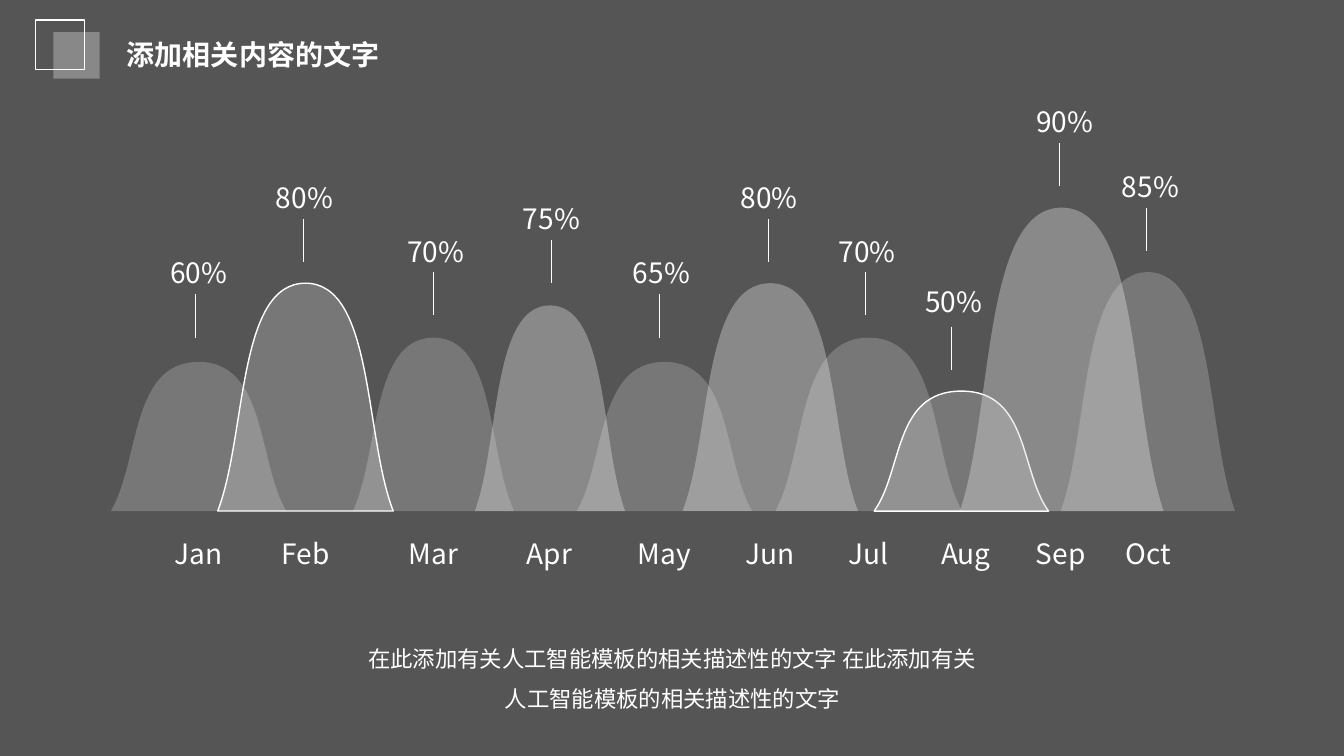
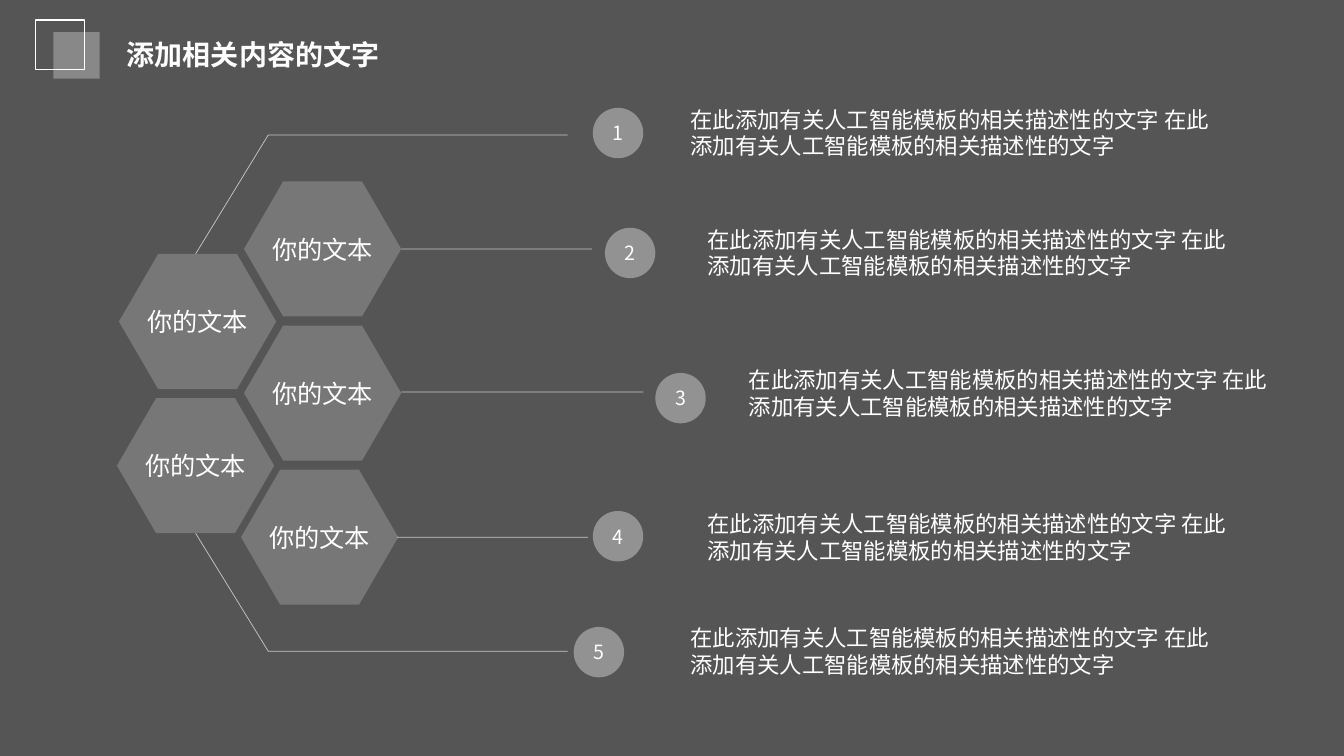
import typing

import lxml.etree
import pptx
import pptx.dml.color
import pptx.enum.shapes
import pptx.enum.text
import pptx.oxml.ns
import pptx.util

PX = 9144
FONT = "Noto Sans CJK SC"
WHITE = pptx.dml.color.RGBColor(0xFF, 0xFF, 0xFF)
SILVER = pptx.dml.color.RGBColor(0xD9, 0xD9, 0xD9)
CHARCOAL = pptx.dml.color.RGBColor(0x55, 0x55, 0x55)
SHAPE = pptx.enum.shapes.MSO_SHAPE
LEFT = pptx.enum.text.PP_ALIGN.LEFT
CENTER = pptx.enum.text.PP_ALIGN.CENTER

TITLE = "添加相关内容的文字"
HEX_LABEL = "你的文本"
DESCRIPTION = "在此添加有关人工智能模板的相关描述性的文字 在此添加有关人工智能模板的相关描述性的文字"

BASELINE = 507
LABEL_WIDTH, LABEL_HEIGHT = 104, 44
TICK_LENGTH = 43
HEX_WIDTH, HEX_HEIGHT = 156, 134
BADGE_SIZE = 50


class Month(typing.NamedTuple):
    name: str
    share: str
    left: int
    width: int
    top: int
    name_center: int
    share_center: int
    share_top: int
    tick_x: int
    tick_top: int
    style: str


MONTHS = [
    Month("Jan", "60%", 110, 174, 359, 197, 197, 249, 194, 292, "dim"),
    Month("Feb", "80%", 216, 174, 281, 303, 302, 174, 301, 217, "outlined"),
    Month("Mar", "70%", 350, 160, 335, 430, 432, 228, 430, 270, "dim"),
    Month("Apr", "75%", 471, 149, 303, 545, 547, 195, 547, 238, "bright"),
    Month("May", "65%", 572, 174, 359, 659, 656, 249, 654, 292, "dim"),
    Month("Jun", "80%", 677, 174, 281, 764, 763, 174, 762, 217, "bright"),
    Month("Jul", "70%", 769, 185, 335, 861, 860, 228, 858, 270, "dim"),
    Month("Aug", "50%", 867, 173, 388, 958, 946, 277, 944, 324, "outlined"),
    Month("Sep", "90%", 952, 202, 206, 1052, 1056, 99, 1051, 142, "bright"),
    Month("Oct", "85%", 1052, 173, 270, 1139, 1141, 163, 1137, 206, "dim"),
]

HEXAGONS = [(242, 323), (239, 466), (116, 395), (118, 252), (242, 180)]

LEADERS = [
    [(194, 252), (266, 134), (563, 134)],
    [(398, 247), (587, 247)],
    [(398, 389), (638, 389)],
    [(394, 533), (583, 533)],
    [(194, 529), (266, 646), (563, 646)],
]

ITEMS = [
    ((588, 107), (675, 100)),
    ((600, 226), (692, 219)),
    ((650, 370), (733, 358)),
    ((588, 507), (692, 501)),
    ((569, 622), (675, 614)),
]


def px(length):
    return pptx.util.Emu(round(length * PX))


def set_opacity(element, percent):
    for colour in element.xpath(".//a:solidFill/a:srgbClr"):
        lxml.etree.SubElement(
            colour, pptx.oxml.ns.qn("a:alpha"), val=str(percent * 1000))


def style_shape(shape, fill=None, opacity=100, outlined=False):
    shape.shadow.inherit = False
    if fill is None:
        shape.fill.background()
    else:
        shape.fill.solid()
        shape.fill.fore_color.rgb = fill
        set_opacity(shape.element, opacity)
    if outlined:
        shape.line.color.rgb = WHITE
        shape.line.width = pptx.util.Pt(1)
    else:
        shape.line.fill.background()


def write_text(frame, text, size, align=LEFT, bold=False):
    para = frame.paragraphs[0]
    para.alignment = align
    span = para.add_run()
    span.text = text
    span.font.name = FONT
    span.font.size = pptx.util.Pt(size)
    span.font.bold = bold
    span.font.color.rgb = WHITE
    lxml.etree.SubElement(
        span._r.get_or_add_rPr(), pptx.oxml.ns.qn("a:ea"), typeface=FONT)
    return para


def add_text(shapes, left, top, width, height, text, size, **options):
    box = shapes.add_textbox(px(left), px(top), px(width), px(height))
    box.text_frame.word_wrap = True
    box.text_frame.auto_size = pptx.enum.text.MSO_AUTO_SIZE.SHAPE_TO_FIT_TEXT
    return write_text(box.text_frame, text, size, **options)


def add_figure(shapes, preset, left, top, width, height, **look):
    shape = shapes.add_shape(preset, px(left), px(top), px(width), px(height))
    style_shape(shape, **look)
    return shape


def label_figure(shape, text, size):
    frame = shape.text_frame
    frame.word_wrap = False
    frame.vertical_anchor = pptx.enum.text.MSO_ANCHOR.MIDDLE
    write_text(frame, text, size, align=CENTER)


def add_line(shapes, start, end, opacity=100):
    line = shapes.add_connector(
        pptx.enum.shapes.MSO_CONNECTOR.STRAIGHT,
        px(start[0]), px(start[1]), px(end[0]), px(end[1]))
    line.line.color.rgb = WHITE
    line.line.width = pptx.util.Pt(0.5)
    if opacity < 100:
        set_opacity(line.element, opacity)
    lxml.etree.SubElement(
        line.element.spPr, pptx.oxml.ns.qn("a:effectLst"))


def add_bell(shapes, left, top, width, bottom, **look):
    height = bottom - top
    ratios = [(0.165, 0.67), (0.11, 0), (0.5, 0),
              (0.89, 0), (0.835, 0.67), (1, 1)]
    points = [(px(left + x * width), px(top + y * height)) for x, y in ratios]
    builder = shapes.build_freeform(px(left), px(bottom))
    builder.add_line_segments(points, close=True)
    bell = builder.convert_to_shape()
    segments = bell.element.xpath(".//a:lnTo")
    for first in (0, 3):
        curve = lxml.etree.Element(pptx.oxml.ns.qn("a:cubicBezTo"))
        segments[first].addprevious(curve)
        for segment in segments[first:first + 3]:
            curve.append(segment[0])
            segment.getparent().remove(segment)
    style_shape(bell, **look)


def add_page(deck):
    page = deck.slides.add_slide(deck.slide_layouts[6])
    emblem = page.shapes.add_group_shape().shapes
    add_figure(emblem, SHAPE.RECTANGLE, 35, 20, 49, 49, outlined=True)
    add_figure(emblem, SHAPE.RECTANGLE, 53, 32, 46, 46, fill=WHITE, opacity=30)
    add_text(page.shapes, 116, 32, 384, 44, TITLE, 20, bold=True)
    return page


def add_month(shapes, month):
    bright = month.style == "bright"
    add_bell(shapes, month.left, month.top, month.width, BASELINE,
             fill=SILVER if bright else WHITE, opacity=40 if bright else 20,
             outlined=month.style == "outlined")
    for text, center, top in [(month.name, month.name_center, 527),
                              (month.share, month.share_center, month.share_top)]:
        add_text(shapes, center - LABEL_WIDTH / 2, top, LABEL_WIDTH,
                 LABEL_HEIGHT, text, 20, align=CENTER)
    add_line(shapes, (month.tick_x, month.tick_top),
             (month.tick_x, month.tick_top + TICK_LENGTH))


def build_months_page(deck):
    page = add_page(deck)
    bells = page.shapes.add_group_shape().shapes
    for month in MONTHS:
        add_month(bells, month)
    para = add_text(page.shapes, 353, 622, 628, 86, DESCRIPTION, 16,
                    align=CENTER)
    para.line_spacing = 1.5


def build_hexagons_page(deck):
    page = add_page(deck)
    cluster = page.shapes.add_group_shape().shapes
    for left, top in HEXAGONS:
        hexagon = add_figure(cluster, SHAPE.HEXAGON, left, top,
                             HEX_WIDTH, HEX_HEIGHT, fill=WHITE, opacity=20)
        hexagon.adjustments[0] = 0.29
        label_figure(hexagon, HEX_LABEL, 18)
    for leader in LEADERS:
        for start, end in zip(leader, leader[1:]):
            add_line(page.shapes, start, end, opacity=67)
    for number, (badge_at, text_at) in enumerate(ITEMS, 1):
        badge = add_figure(page.shapes, SHAPE.OVAL, *badge_at,
                           BADGE_SIZE, BADGE_SIZE, fill=WHITE, opacity=36)
        label_figure(badge, str(number), 14)
        add_text(page.shapes, *text_at, 537, 64, DESCRIPTION, 16)


def main():
    deck = pptx.Presentation()
    deck.slide_width = pptx.util.Inches(13.33)
    deck.slide_height = pptx.util.Inches(7.5)
    backdrop = deck.slide_master.background.fill
    backdrop.solid()
    backdrop.fore_color.rgb = CHARCOAL
    build_months_page(deck)
    build_hexagons_page(deck)
    deck.save("out.pptx")


if __name__ == "__main__":
    main()
